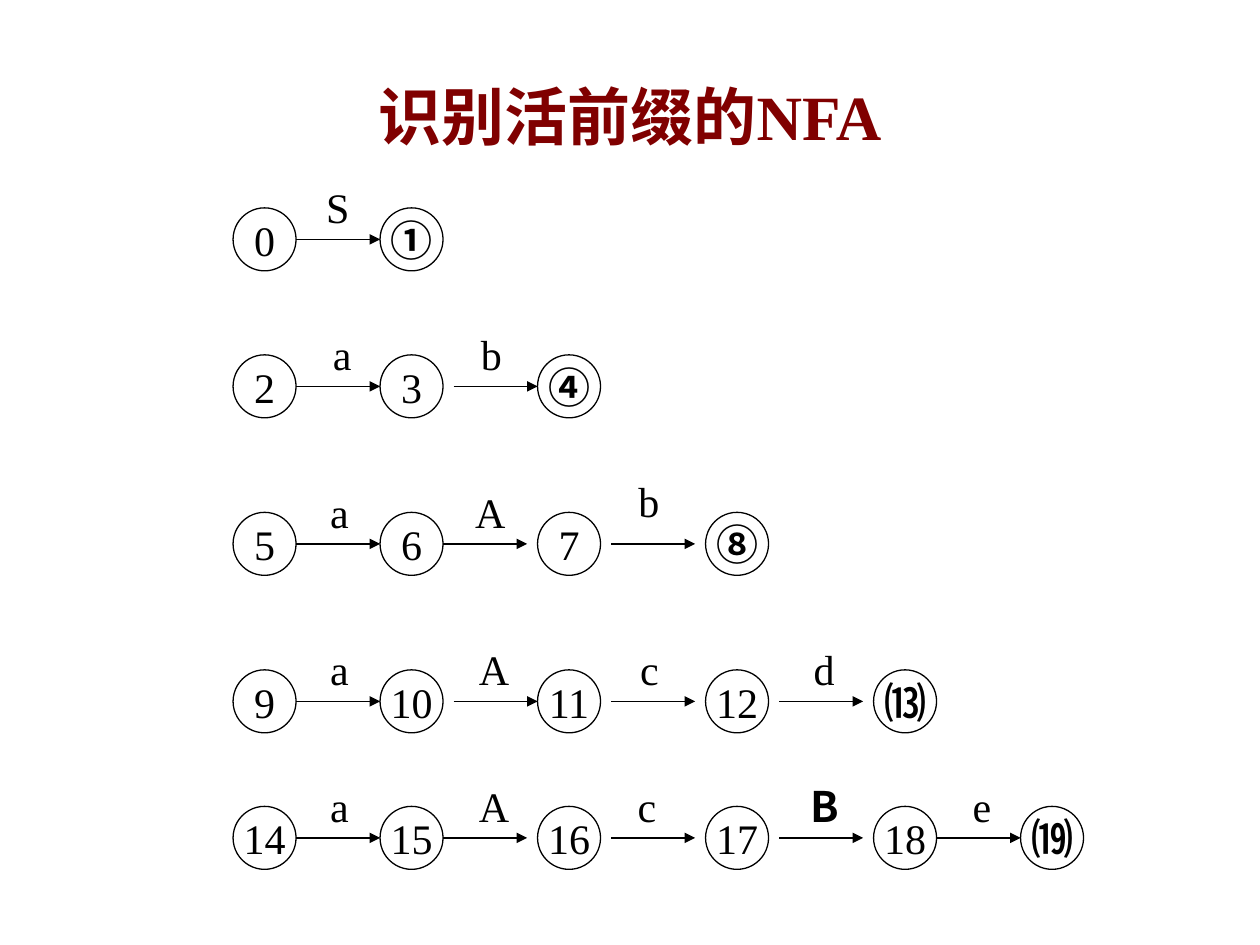
from dataclasses import dataclass

from lxml import etree
from pptx import Presentation
from pptx.dml.color import RGBColor
from pptx.enum.shapes import MSO_CONNECTOR, MSO_SHAPE
from pptx.enum.text import MSO_ANCHOR, PP_ALIGN
from pptx.oxml.ns import qn
from pptx.shapes.autoshape import Shape
from pptx.shapes.shapetree import SlideShapes
from pptx.util import Pt

STRAIGHT = MSO_CONNECTOR.STRAIGHT
OVAL = MSO_SHAPE.OVAL
MIDDLE = MSO_ANCHOR.MIDDLE
CENTER = PP_ALIGN.CENTER

COLORS = {"ink": "000000", "state": "FFFFFF", "title": "800000"}
LATIN_FONT = "Times New Roman"
CJK_FONT = "Noto Sans CJK SC"

DIAMETER = 36
ARROW_LENGTH = 48
LABEL_WIDTH, LABEL_HEIGHT = 30, 36
LABEL_RISE = 36.5
STATE_LEFTS = [133.2, 217.2, 307.2, 403.2, 499.2, 583.2]


@dataclass
class Edge:
    symbol: str
    center: float      # middle of the symbol
    gap: float = 0     # space between the state and the arrow's start
    lift: float = 0    # extra height of the symbol
    bold: bool = False


@dataclass
class Chain:
    top: float
    states: list[str]  # the last one is accepting
    edges: list[Edge]


CHAINS = [
    Chain(118.8, ["0", "①"], [Edge("S", 193)]),
    Chain(202.8, ["2", "3", "④"], [Edge("a", 195.5), Edge("b", 280.8, 6)]),
    Chain(292.8, ["5", "6", "7", "⑧"],
          [Edge("a", 194), Edge("A", 279.4), Edge("b", 370.8, 6, 6)]),
    Chain(382.8, ["9", "10", "11", "12", "⒀"],
          [Edge("a", 194), Edge("A", 281.5, 6), Edge("c", 371.2, 6),
           Edge("d", 470.9, 6)]),
    Chain(460.8, ["14", "15", "16", "17", "18", "⒆"],
          [Edge("a", 194), Edge("A", 281.5), Edge("c", 369.7, 6),
           Edge("B", 470.9, 6, bold=True), Edge("e", 561.2)]),
]


def color(name: str) -> RGBColor:
    return RGBColor.from_string(COLORS[name])


def write(shape: Shape, text: str, font_name: str = LATIN_FONT, size: float = 24,
          bold: bool = False, ink: str = "ink", wrap: bool = False) -> None:
    frame = shape.text_frame
    frame.text = text
    frame.word_wrap = wrap
    frame.vertical_anchor = MIDDLE
    paragraph = frame.paragraphs[0]
    paragraph.alignment = CENTER
    run = paragraph.runs[0]
    run.font.size = Pt(size)
    run.font.bold = bold
    run.font.color.rgb = color(ink)
    run.font.name = font_name
    # East Asian characters take their own typeface
    etree.SubElement(run._r.get_or_add_rPr(), qn("a:ea"), typeface=CJK_FONT)


def draw_state(shapes: SlideShapes, name: str, left: float, top: float,
               accepting: bool) -> None:
    state = shapes.add_shape(OVAL, Pt(left), Pt(top), Pt(DIAMETER), Pt(DIAMETER))
    state.shadow.inherit = False
    state.fill.solid()
    state.fill.fore_color.rgb = color("state")
    state.line.color.rgb = color("ink")
    state.line.width = Pt(0.75)
    write(state, name, CJK_FONT if accepting else LATIN_FONT, bold=accepting)


def draw_edge(shapes: SlideShapes, edge: Edge, state_left: float, middle: float) -> None:
    start = state_left + DIAMETER + edge.gap
    arrow = shapes.add_connector(STRAIGHT, Pt(start), Pt(middle),
                                 Pt(start + ARROW_LENGTH), Pt(middle))
    arrow.line.color.rgb = color("ink")
    arrow.line.width = Pt(0.75)
    outline = arrow._element.spPr.find(qn("a:ln"))
    etree.SubElement(outline, qn("a:tailEnd"), type="triangle")
    etree.SubElement(arrow._element.spPr, qn("a:effectLst"))

    symbol = shapes.add_textbox(Pt(edge.center - LABEL_WIDTH / 2),
                                Pt(middle - LABEL_RISE - edge.lift),
                                Pt(LABEL_WIDTH), Pt(LABEL_HEIGHT))
    write(symbol, edge.symbol, CJK_FONT if edge.bold else LATIN_FONT, bold=edge.bold)


def main() -> None:
    deck = Presentation()
    deck.slide_width, deck.slide_height = Pt(720), Pt(540)
    shapes = deck.slides.add_slide(deck.slide_layouts[6]).shapes

    # Title
    title = shapes.add_textbox(Pt(54), Pt(38), Pt(612), Pt(56))
    write(title, "识别活前缀的NFA", size=36, bold=True, ink="title", wrap=True)

    # One chain of states per production
    for chain in CHAINS:
        for left, name in zip(STATE_LEFTS, chain.states):
            draw_state(shapes, name, left, chain.top, name == chain.states[-1])
        for left, edge in zip(STATE_LEFTS, chain.edges):
            draw_edge(shapes, edge, left, chain.top + DIAMETER / 2)

    deck.save("out.pptx")


if __name__ == "__main__":
    main()
